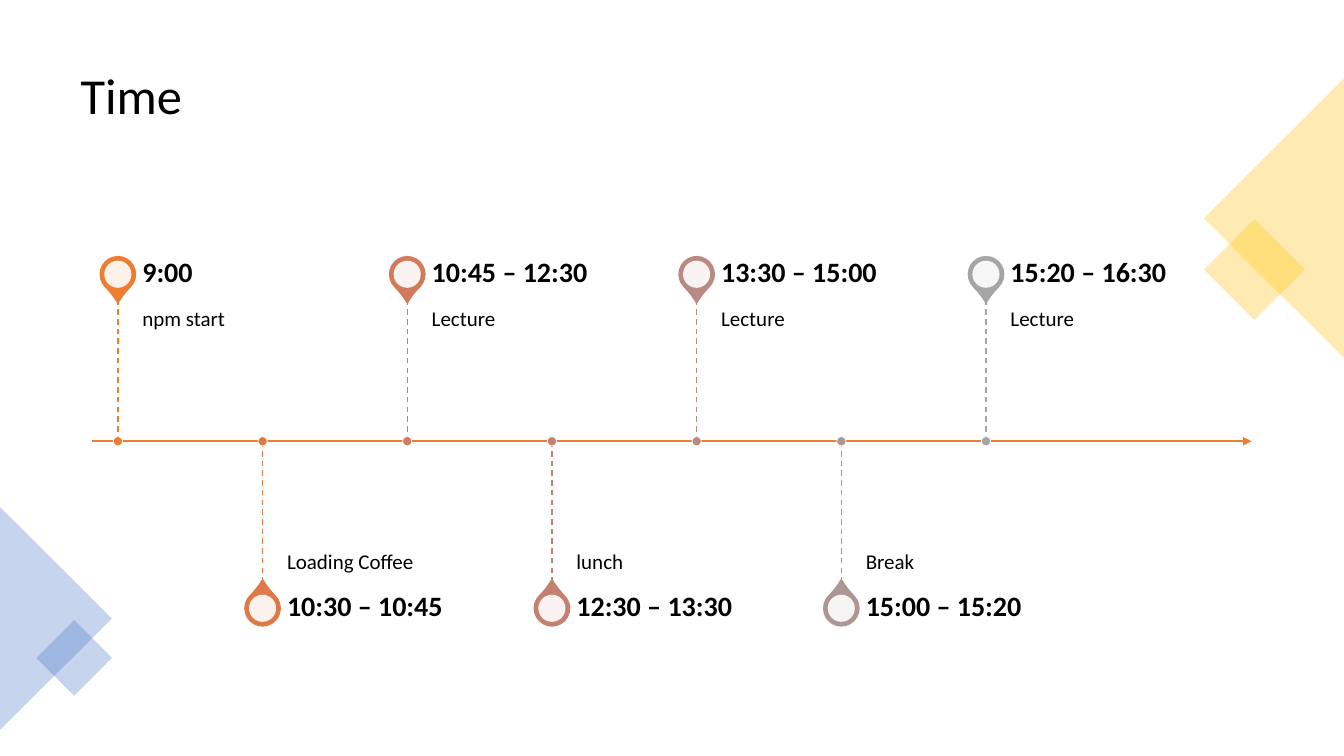
from lxml.etree import SubElement
from pptx import Presentation
from pptx.dml.color import RGBColor
from pptx.enum.dml import MSO_LINE
from pptx.enum.shapes import MSO_CONNECTOR, MSO_SHAPE
from pptx.enum.text import MSO_ANCHOR, PP_ALIGN
from pptx.oxml.ns import qn
from pptx.util import Pt

BLACK = RGBColor(0x00, 0x00, 0x00)
WHITE = RGBColor(0xFF, 0xFF, 0xFF)
GOLD = RGBColor(0xFF, 0xC0, 0x00)
BLUE = RGBColor(0x44, 0x72, 0xC4)
ORANGE = RGBColor(0xED, 0x7D, 0x31)
RUST = RGBColor(0xDE, 0x7A, 0x47)
CLAY = RGBColor(0xD1, 0x7B, 0x5C)
ROSE = RGBColor(0xC4, 0x81, 0x70)
MAUVE = RGBColor(0xB9, 0x8A, 0x82)
TAUPE = RGBColor(0xAE, 0x96, 0x94)
GRAY = RGBColor(0xA5, 0xA5, 0xA5)

# Timeline geometry in points
AXIS = 315.2
START, STEP = 84.2, 103.35
STEM = 101.2
REACH = 119.3
INDENT, WIDTH = 17.5, 172

EVENTS = [
    ("9:00", "npm start", ORANGE),
    ("10:30 – 10:45", "Loading Coffee", RUST),
    ("10:45 – 12:30", "Lecture", CLAY),
    ("12:30 – 13:30", "lunch", ROSE),
    ("13:30 – 15:00", "Lecture", MAUVE),
    ("15:00 – 15:20", "Break", TAUPE),
    ("15:20 – 16:30", "Lecture", GRAY),
]


class Painter:
    """Holds the text style and the current slide."""

    def __init__(self, slide, font):
        self.slide = slide
        self.shapes = slide.shapes
        self.font = font

    def style(self, frame, text, size, bold=False, anchor=MSO_ANCHOR.TOP,
              insets=(7.2, 3.6, 7.2, 3.6)):
        sides = ("margin_left", "margin_top", "margin_right", "margin_bottom")
        form = {side: Pt(inset) for side, inset in zip(sides, insets)}
        form.update(word_wrap=True, vertical_anchor=anchor, text=text)
        for key, value in form.items():
            setattr(frame, key, value)
        line = frame.paragraphs[0]
        line.alignment = PP_ALIGN.LEFT
        line.line_spacing = 0.9
        font = line.runs[0].font
        for key, value in {"name": self.font, "size": Pt(size), "bold": bold}.items():
            setattr(font, key, value)
        font.color.rgb = BLACK

    def title(self, text, left, top, width, height):
        box = self.shapes.title
        place = {"left": left, "top": top, "width": width, "height": height}
        for key, value in place.items():
            setattr(box, key, Pt(value))
        self.style(box.text_frame, text, 36, anchor=MSO_ANCHOR.MIDDLE)

    def label(self, text, left, top, width, height, size, **form):
        box = self.shapes.add_textbox(Pt(left), Pt(top), Pt(width), Pt(height))
        self.style(box.text_frame, text, size, **form)

    def shape(self, kind, x, y, width, height, fill, turn=0, alpha=100, edge=None, weight=1):
        """Draw a preset shape centred on x, y."""
        item = self.shapes.add_shape(
            kind, Pt(x - width / 2), Pt(y - height / 2), Pt(width), Pt(height))
        item.shadow.inherit = False
        item.rotation = turn
        item.fill.solid()
        item.fill.fore_color.rgb = fill
        if alpha < 100:
            color = item._element.spPr.find(qn("a:solidFill"))[0]
            SubElement(color, qn("a:alpha"), val=str(alpha * 1000))
        if edge is None:
            item.line.fill.background()
        else:
            item.line.color.rgb = edge
            item.line.width = Pt(weight)
        return item

    def line(self, x1, y1, x2, y2, color, weight, dash=None, arrow=False):
        item = self.shapes.add_connector(
            MSO_CONNECTOR.STRAIGHT, Pt(x1), Pt(y1), Pt(x2), Pt(y2))
        item.line.color.rgb = color
        item.line.width = Pt(weight)
        if dash:
            item.line.dash_style = dash
        if arrow:
            edge = item._element.spPr.find(qn("a:ln"))
            SubElement(edge, qn("a:tailEnd"), type="triangle")
        SubElement(item._element.spPr, qn("a:effectLst"))

    def event(self, x, time, note, color, above):
        side = -1 if above else 1
        pin = AXIS + side * REACH
        # Pin head
        drop = self.shape(MSO_SHAPE.TEAR, x, pin, 25.2, 25.2, color,
                          turn=135 if above else 315, edge=color)
        drop.adjustments[0] = 1.15
        self.shape(MSO_SHAPE.OVAL, x, pin, 19.4, 19.4, WHITE, alpha=90)
        # Note and time
        self.label(note, x + INDENT, AXIS - STEM if above else AXIS, WIDTH, STEM, 15,
                   anchor=MSO_ANCHOR.TOP if above else MSO_ANCHOR.BOTTOM,
                   insets=(0, 7.2, 7.2, 11.5) if above else (0, 11.5, 0, 7.2))
        self.label(time, x + INDENT, pin - 18, WIDTH, 35.3, 20, bold=True,
                   anchor=MSO_ANCHOR.MIDDLE, insets=(0, 0, 10, 0))
        # Stem and dot on the axis
        self.line(x, AXIS, x, AXIS + side * STEM, color, 1, dash=MSO_LINE.DASH)
        self.shape(MSO_SHAPE.OVAL, x, AXIS, 6.6, 6.6, color, edge=WHITE, weight=0.5)


def main():
    deck = Presentation()
    deck.slide_width, deck.slide_height = Pt(960), Pt(540)
    paint = Painter(deck.slides.add_slide(deck.slide_layouts[5]), "Calibri")
    paint.title("Time", 50.4, 25.2, 859, 89.3)

    # Corner decoration
    paint.shape(MSO_SHAPE.RECTANGLE, 896, 192.6, 51, 51, GOLD, turn=45, alpha=30)
    paint.shape(MSO_SHAPE.ISOSCELES_TRIANGLE, 910, 155.8, 199.6, 100, GOLD,
                turn=270, alpha=30)
    paint.shape(MSO_SHAPE.ISOSCELES_TRIANGLE, 40, 441.8, 159.2, 80, BLUE,
                turn=90, alpha=30)
    paint.shape(MSO_SHAPE.RECTANGLE, 53, 470, 38.2, 38.2, BLUE, turn=45, alpha=30)

    # Timeline, with events above and below in turn
    paint.line(66, AXIS, 894, AXIS, ORANGE, 1.5, arrow=True)
    for i, (time, note, color) in enumerate(EVENTS):
        paint.event(START + i * STEP, time, note, color, above=i % 2 == 0)

    deck.save("out.pptx")


if __name__ == "__main__":
    main()
